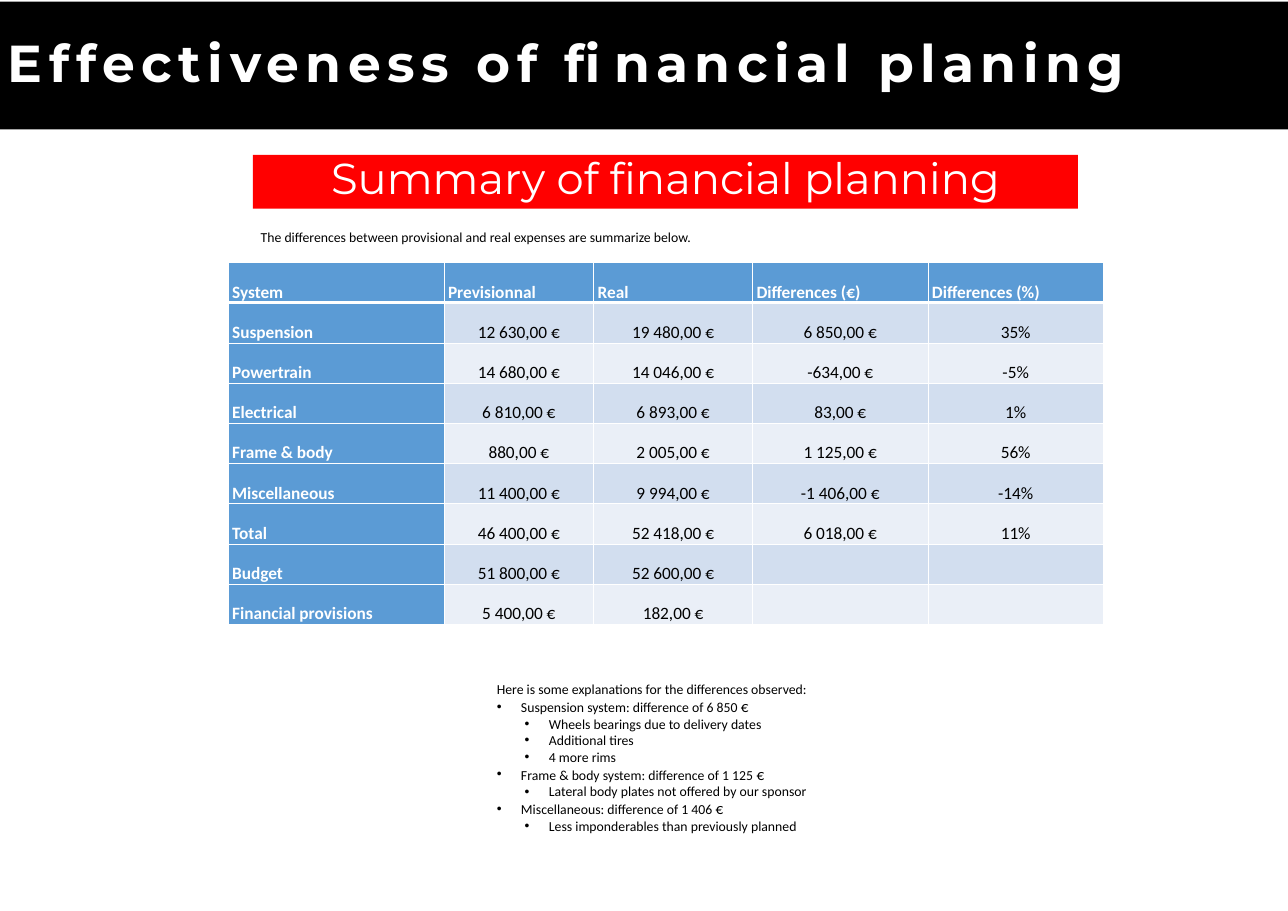
from lxml import etree
from pptx import Presentation
from pptx.dml.color import RGBColor
from pptx.enum.shapes import MSO_SHAPE
from pptx.enum.text import MSO_ANCHOR, MSO_AUTO_SIZE, PP_ALIGN
from pptx.oxml.ns import qn
from pptx.util import Cm, Pt

RECT = MSO_SHAPE.RECTANGLE
MIDDLE, BOTTOM = MSO_ANCHOR.MIDDLE, MSO_ANCHOR.BOTTOM
LEFT, CENTER = PP_ALIGN.LEFT, PP_ALIGN.CENTER
FIXED = MSO_AUTO_SIZE.NONE

BLACK = RGBColor(0x00, 0x00, 0x00)
WHITE = RGBColor(0xFF, 0xFF, 0xFF)
RED = RGBColor(0xFF, 0x00, 0x00)
BLUE = RGBColor(0x5B, 0x9B, 0xD5)
BANDS = RGBColor(0xD2, 0xDE, 0xEF), RGBColor(0xEA, 0xEF, 0xF7)

TITLE = {"name": "Montserrat", "size": Pt(48), "bold": True, "color": WHITE}
HEADING = {"name": "Montserrat", "size": Pt(40), "bold": False, "color": WHITE}
BODY = {"name": "Calibri", "size": Pt(12.7), "color": BLACK}
EURO = {**BODY, "size": Pt(14)}
LABEL = {"name": "Calibri", "size": Pt(16), "bold": True, "color": WHITE}
VALUE = {**LABEL, "bold": False, "color": BLACK}

COLS = [7.04, 4.88, 5.18, 5.72, 5.72]
ROWS = [
    ["System", "Previsionnal", "Real", "Differences (€)", "Differences (%)"],
    ["Suspension", "12 630,00 €", "19 480,00 €", "6 850,00 €", "35%"],
    ["Powertrain", "14 680,00 €", "14 046,00 €", "-634,00 €", "-5%"],
    ["Electrical", "6 810,00 €", "6 893,00 €", "83,00 €", "1%"],
    ["Frame & body", "880,00 €", "2 005,00 €", "1 125,00 €", "56%"],
    ["Miscellaneous", "11 400,00 €", "9 994,00 €", "-1 406,00 €", "-14%"],
    ["Total", "46 400,00 €", "52 418,00 €", "6 018,00 €", "11%"],
    ["Budget", "51 800,00 €", "52 600,00 €", "", ""],
    ["Financial provisions", "5 400,00 €", "182,00 €", "", ""],
]
INTRO = "The differences between provisional and real expenses are summarize below."
NOTES = [
    (None, "Here is some explanations for the differences observed:"),
    (0, "Suspension system: difference of 6 850 €"),
    (1, "Wheels bearings due to delivery dates"),
    (1, "Additional tires"),
    (1, "4 more rims"),
    (0, "Frame & body system: difference of 1 125 €"),
    (1, "Lateral body plates not offered by our sponsor"),
    (0, "Miscellaneous: difference of 1 406 €"),
    (1, "Less imponderables than previously planned"),
]
INDENTS = [0.79, 1.7]


def apply(item, form):
    for key, value in form.items():
        setattr(item, key, value)


def style(font, form):
    for key, value in form.items():
        if key == "color":
            font.color.rgb = value
        else:
            setattr(font, key, value)


def add_run(para, text, form):
    run = para.add_run()
    run.text = text
    style(run.font, form)
    return run


def place(shape, box):
    apply(shape, dict(zip(("left", "top", "width", "height"), map(Cm, box))))


def fill_bar(shape, color, text, form, layout):
    shape.fill.solid()
    shape.fill.fore_color.rgb = color
    shape.line.fill.background()
    frame = shape.text_frame
    apply(frame, {"auto_size": FIXED, "word_wrap": True, "vertical_anchor": MIDDLE})
    para = frame.paragraphs[0]
    apply(para, layout)
    return add_run(para, text, form)


def add_title(slide, box):
    title = slide.shapes.title
    place(title, box)
    layout = {"alignment": LEFT, "line_spacing": 0.9}
    run = fill_bar(title, BLACK, "Effectiveness of financial planing", TITLE, layout)
    run.font._element.set("spc", "600")


def add_heading(slide, box):
    bar = slide.shapes.add_shape(RECT, *map(Cm, box))
    bar.shadow.inherit = False
    layout = {"alignment": CENTER, "line_spacing": 0.8, "space_before": Pt(15.6)}
    fill_bar(bar, RED, "Summary of financial planning", HEADING, layout)


def add_text(slide, box):
    frame = slide.shapes.add_textbox(*map(Cm, box)).text_frame
    frame.word_wrap = True
    return frame


def add_intro(slide, box):
    add_run(add_text(slide, box).paragraphs[0], INTRO, BODY)


def add_border(cell, side, width):
    line = etree.SubElement(cell._tc.get_or_add_tcPr(), qn("a:ln" + side))
    line.set("w", str(Pt(width)))
    fill = etree.SubElement(line, qn("a:solidFill"))
    etree.SubElement(fill, qn("a:srgbClr")).set("val", str(WHITE))


def fill_cell(cell, text, row, col):
    head = row == 0 or col == 0
    for side in "LRTB":
        thick = (row == 0 and side == "B") or (row == 1 and side == "T")
        add_border(cell, side, 3 if thick else 1)
    cell.fill.solid()
    cell.fill.fore_color.rgb = BLUE if head else BANDS[(row - 1) % 2]
    apply(cell, {"vertical_anchor": BOTTOM, "margin_left": Cm(0.13),
                 "margin_right": Cm(0.13), "margin_top": 0, "margin_bottom": 0})
    para = cell.text_frame.paragraphs[0]
    apply(para, {"alignment": LEFT if head else CENTER, "line_spacing": 1.07})
    form = LABEL if head else VALUE
    if text:
        add_run(para, text, form)
    else:
        style(para.font, form)


def add_costs(slide, box):
    table = slide.shapes.add_table(len(ROWS), len(COLS), *map(Cm, box)).table
    for col, width in zip(table.columns, COLS):
        col.width = Cm(width)
    for r, texts in enumerate(ROWS):
        table.rows[r].height = Cm(box[3] / len(ROWS))
        for c, text in enumerate(texts):
            fill_cell(table.cell(r, c), text, r, c)


def add_bullet(para, level):
    para.level = level
    props = para._p.get_or_add_pPr()
    props.set("marL", str(Cm(INDENTS[level])))
    props.set("indent", str(-Cm(INDENTS[0])))
    etree.SubElement(props, qn("a:buFont")).set("typeface", "Arial")
    etree.SubElement(props, qn("a:buChar")).set("char", "•")


def add_notes(slide, box):
    frame = add_text(slide, box)
    for i, (level, text) in enumerate(NOTES):
        para = frame.add_paragraph() if i else frame.paragraphs[0]
        if level is not None:
            add_bullet(para, level)
        add_run(para, text.removesuffix("€"), BODY)
        if text.endswith("€"):
            add_run(para, "€", EURO)


def main():
    deck = Presentation()
    apply(deck, {"slide_width": Cm(42), "slide_height": Cm(29.7)})
    slide = deck.slides.add_slide(deck.slide_layouts[5])
    add_title(slide, (0, 0.05, 42, 4.17))
    add_heading(slide, (8.25, 5.05, 26.9, 1.75))
    add_intro(slide, (8.25, 7.34, 24.7, 0.81))
    add_costs(slide, (7.44, 8.56, sum(COLS), 11.8))
    add_notes(slide, (15.95, 22.07, 11.48, 5.31))
    deck.save("out.pptx")


main()
